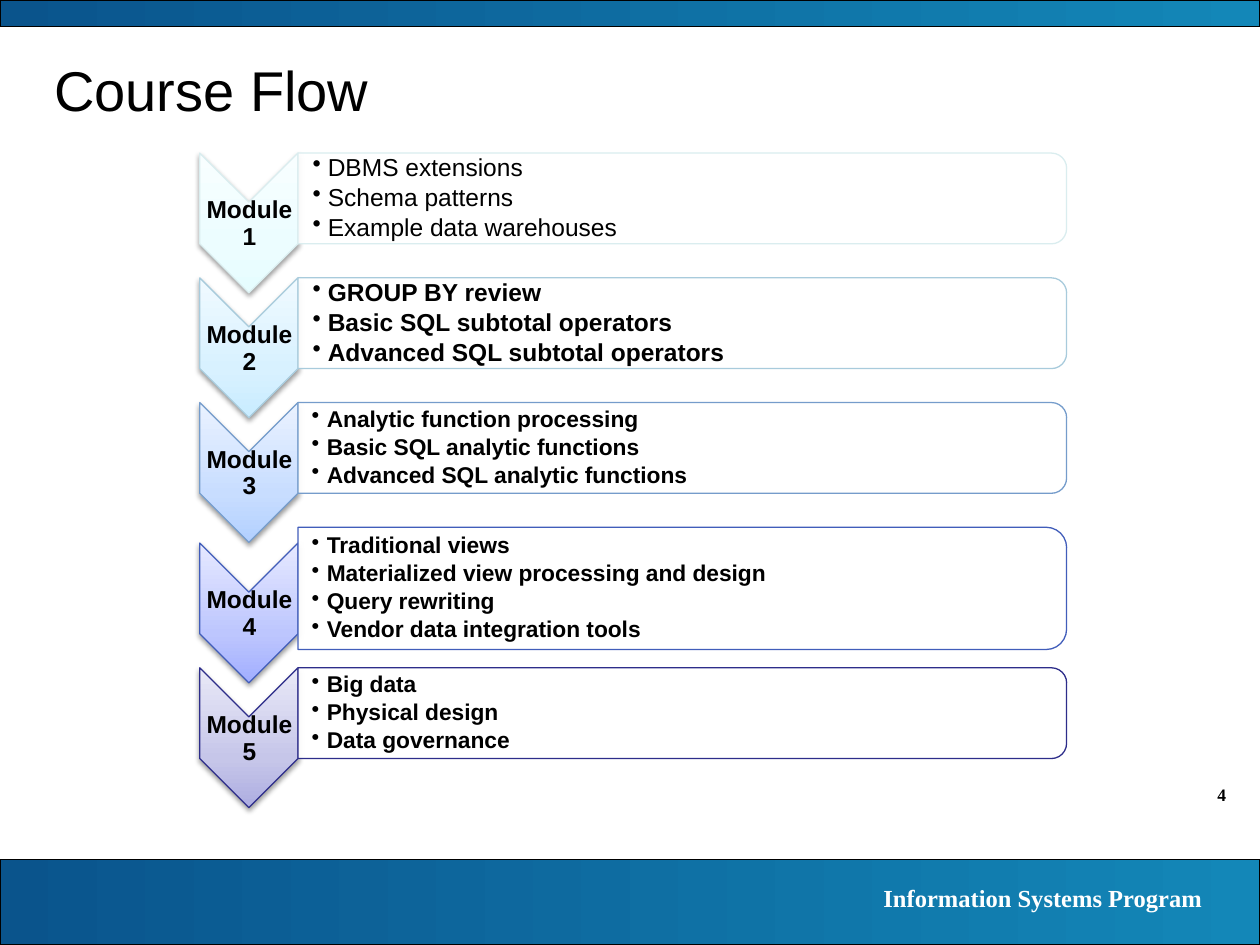
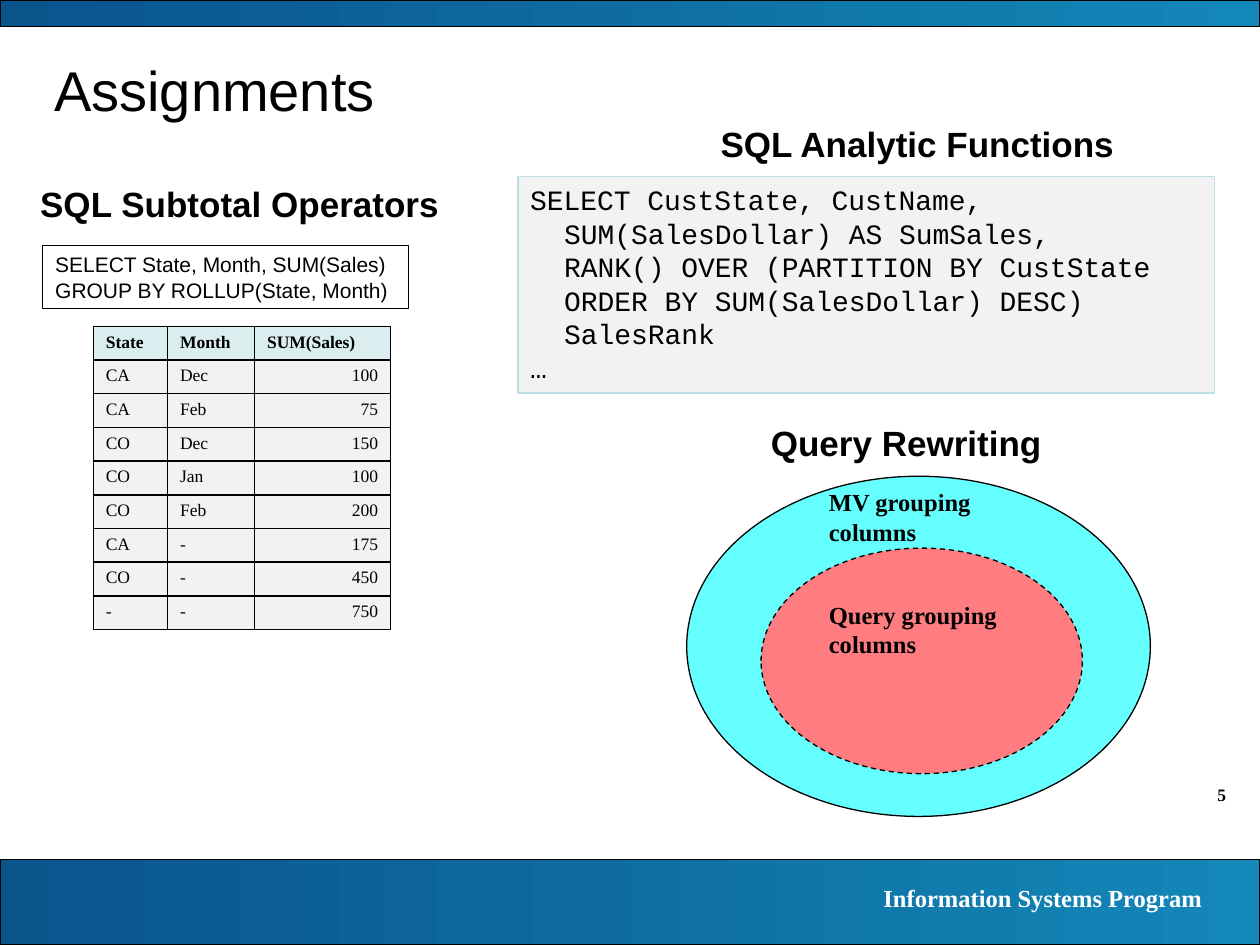
from lxml import etree
from pptx import Presentation, util as u
from pptx.dml.color import RGBColor
from pptx.enum import dml, shapes, text
from pptx.oxml.ns import qn

WIDTH, HEIGHT = u.Inches(10), u.Inches(7.5)
COLUMN, ROW = WIDTH / 100, HEIGHT / 75
SANS, SERIF, MONO = "Arial", "Times New Roman", "Courier New"
BLACK = RGBColor(0x00, 0x00, 0x00)
WHITE = RGBColor(0xFF, 0xFF, 0xFF)
PALE_GRAY = RGBColor(0xF2, 0xF2, 0xF2)
HEADER_TEAL = RGBColor(0xDA, 0xED, 0xEF)
CODE_EDGE = RGBColor(0xBB, 0xE0, 0xE3)
AQUA = RGBColor(0x66, 0xFF, 0xFF)
CORAL = RGBColor(0xFF, 0x7C, 0x80)
BAND_STOPS = [(0, RGBColor(0x0A, 0x54, 0x8C)), (100, RGBColor(0x13, 0x87, 0xB8))]
MODULE_EDGES = [
    RGBColor(0xDA, 0xED, 0xEF), RGBColor(0xA8, 0xCB, 0xDC), RGBColor(0x75, 0x9C, 0xCB),
    RGBColor(0x41, 0x5D, 0xBA), RGBColor(0x2D, 0x2D, 0x8A),
]
MODULE_SHADES = [
    (RGBColor(0xE6, 0xFD, 0xFF), RGBColor(0xEC, 0xFD, 0xFF), RGBColor(0xF8, 0xFE, 0xFF)),
    (RGBColor(0xC9, 0xEC, 0xFF), RGBColor(0xD8, 0xF1, 0xFF), RGBColor(0xF0, 0xFA, 0xFF)),
    (RGBColor(0xB2, 0xD0, 0xFF), RGBColor(0xC8, 0xDD, 0xFF), RGBColor(0xEA, 0xF2, 0xFF)),
    (RGBColor(0xA1, 0xAE, 0xFF), RGBColor(0xBD, 0xC6, 0xFE), RGBColor(0xE6, 0xE9, 0xFF)),
    (RGBColor(0xAD, 0xAD, 0xE1), RGBColor(0xC6, 0xC6, 0xE9), RGBColor(0xE9, 0xE9, 0xF7)),
]
MODULES = [
    (14, False, ["DBMS extensions", "Schema patterns", "Example data warehouses"]),
    (14, True, ["GROUP BY review", "Basic SQL subtotal operators",
                "Advanced SQL subtotal operators"]),
    (13, True, ["Analytic function processing", "Basic SQL analytic functions",
                "Advanced SQL analytic functions"]),
    (13, True, ["Traditional views", "Materialized view processing and design",
                "Query rewriting", "Vendor data integration tools"]),
    (13, True, ["Big data", "Physical design", "Data governance"]),
]
SALES = [
    ("State", "Month", "SUM(Sales)"),
    ("CA", "Dec", "100"), ("CA", "Feb", "75"), ("CO", "Dec", "150"),
    ("CO", "Jan", "100"), ("CO", "Feb", "200"), ("CA", "-", "175"),
    ("CO", "-", "450"), ("-", "-", "750"),
]
ROLLUP_QUERY = ["SELECT State, Month, SUM(Sales)", "GROUP BY ROLLUP(State, Month)"]
RANK_QUERY = ["SELECT CustState, CustName,", "SUM(SalesDollar) AS SumSales,",
              "RANK() OVER (PARTITION BY CustState", "ORDER BY SUM(SalesDollar) DESC)",
              "SalesRank", "…"]


def frame(left, top, width, height):
    """Turn grid columns and rows into slide lengths."""
    return [round(n * unit) for n, unit in
            zip((left, top, width, height), (COLUMN, ROW, COLUMN, ROW))]


def quarter_turn(left, top, width, height):
    """Give the unrotated area that covers this area after a quarter turn."""
    shift = (width - height) / 2
    return left + shift, top - shift, height, width


def child(parent, tag, **attributes):
    """Append a drawing element with the given attributes."""
    node = etree.SubElement(parent, qn(f"a:{tag}"))
    for name, value in attributes.items():
        node.set(name, str(value))
    return node


def fill_gradient(shape, stops, angle):
    """Fill a shape with colour stops along a fixed slide direction."""
    shape.fill.background()
    blank = shape.element.spPr.find(qn("a:noFill"))
    gradient = etree.Element(qn("a:gradFill"), rotWithShape="0")
    stop_list = child(gradient, "gsLst")
    for place, color in stops:
        child(child(stop_list, "gs", pos=place * 1000), "srgbClr", val=color)
    child(gradient, "lin", ang=angle * 60000, scaled=0)
    blank.getparent().replace(blank, gradient)


def add_figure(page, kind, area, fill, edge=BLACK, weight=0.75):
    """Add a flat, outlined preset shape."""
    shape = page.shapes.add_shape(kind, *frame(*area))
    shape.shadow.inherit = False
    shape.fill.solid()
    shape.fill.fore_color.rgb = fill
    shape.line.color.rgb = edge
    shape.line.width = u.Pt(weight)
    return shape


def style(para, font, size, bold=False, color=BLACK, align=text.PP_ALIGN.LEFT):
    """Set the font and alignment of a paragraph."""
    para.font.name, para.font.size, para.font.bold = font, u.Pt(size), bold
    para.font.color.rgb = color
    para.alignment = align


def write(shape, lines, font, size, anchor=text.MSO_ANCHOR.TOP, **look):
    """Write one paragraph per line and return the paragraphs."""
    body = shape.text_frame
    body.word_wrap = True
    body.vertical_anchor = anchor
    body.text = "\n".join(lines)
    for para in body.paragraphs:
        style(para, font, size, **look)
    return body.paragraphs


def add_label(page, area, lines, font, size, **look):
    """Add a text box and return it."""
    box = page.shapes.add_textbox(*frame(*area))
    write(box, lines, font, size, **look)
    return box


def tighten(box, left, after):
    """Give a diagram label small margins and close lines."""
    body = box.text_frame
    body.margin_left = u.Inches(left)
    body.margin_top = body.margin_right = body.margin_bottom = u.Inches(0.01)
    for para in body.paragraphs:
        para.line_spacing = 0.9
        para.space_after = u.Pt(after)


def indent(para, left, first=0):
    """Set the left and first-line indents in inches."""
    properties = para._p.get_or_add_pPr()
    properties.set("marL", str(u.Inches(left)))
    properties.set("indent", str(u.Inches(first)))
    return properties


def add_bullet(para):
    """Hang a paragraph on a round bullet."""
    properties = indent(para, 0.12, -0.12)
    bullet = etree.Element(qn("a:buChar"), char="•")
    properties.insert_element_before(bullet, "a:tabLst", "a:defRPr", "a:extLst")


def add_page(deck, title, number):
    """Add a titled slide with bands, footer and page number."""
    page = deck.slides.add_slide(deck.slide_layouts[5])
    for top, height in ((68.2, 6.8), (0, 2.1)):
        band = add_figure(page, shapes.MSO_SHAPE.RECTANGLE, (0, top, 100, height), WHITE)
        fill_gradient(band, BAND_STOPS, 0)
    right = text.PP_ALIGN.RIGHT
    add_label(page, (90, 61.7, 8.3, 2.7), [str(number)], SERIF, 10, bold=True, align=right)
    add_label(page, (55.5, 69.6, 40.9, 3.4), ["Information Systems Program"], SERIF, 14,
              bold=True, color=WHITE, align=right)
    heading = page.shapes.title
    heading.left, heading.top, heading.width, heading.height = frame(3.3, 3.3, 91.7, 7.5)
    write(heading, [title], SANS, 32, anchor=text.MSO_ANCHOR.MIDDLE)
    return page


def add_chevron(page, top, label, shades, edge):
    """Add a shaded down-pointing chevron with its module label."""
    chevron = add_figure(page, shapes.MSO_SHAPE.CHEVRON,
                         quarter_turn(15.85, top, 7.8, 11.1), WHITE, edge)
    chevron.rotation = 90
    fill_gradient(chevron, zip((0, 35, 100), shades), 270)
    effects = chevron.element.spPr.find(qn("a:effectLst"))
    shadow = child(effects, "outerShdw", blurRad=u.Pt(3.1), dist=u.Pt(1.6),
                   dir=90 * 60000, rotWithShape=0)
    child(child(shadow, "srgbClr", val=BLACK), "alpha", val=38000)
    box = add_label(page, (15.9, top + 4, 7.8, 3.3), [label], SANS, 14, bold=True,
                    align=text.PP_ALIGN.CENTER, anchor=text.MSO_ANCHOR.MIDDLE)
    tighten(box, 0.01, 4.9)


def add_topics(page, top, height, topics, size, bold, edge):
    """Add a panel with rounded right corners and its bulleted topics."""
    panel = add_figure(page, shapes.MSO_SHAPE.ROUND_2_SAME_RECTANGLE,
                       quarter_turn(23.65, top, 61, height), WHITE, edge)
    panel.rotation = 90
    child(panel.element.spPr.find(f"{qn('a:solidFill')}/{qn('a:srgbClr')}"),
          "alpha", val=90000)
    box = add_label(page, (23.7, top + 0.35, 60.6, height - 0.7), topics, SANS, size,
                    bold=bold, anchor=text.MSO_ANCHOR.MIDDLE)
    tighten(box, size * 0.008, size * 0.15)
    for para in box.text_frame.paragraphs:
        add_bullet(para)


def add_border(cell):
    """Draw a thin black line on all four sides of a cell."""
    properties = cell._tc.get_or_add_tcPr()
    for place, side in enumerate(("lnL", "lnR", "lnT", "lnB")):
        line = etree.Element(qn(f"a:{side}"), w=str(u.Pt(1)))
        child(child(line, "solidFill"), "srgbClr", val=BLACK)
        properties.insert(place, line)


def add_sales_table(page):
    """Add the subtotal result with right-aligned sums."""
    widths = (5.9, 6.9, 10.8)
    table = page.shapes.add_table(len(SALES), len(widths),
                                  *frame(7.4, 25.9, sum(widths), 24)).table
    for column, width in zip(table.columns, widths):
        column.width = round(width * COLUMN)
    for r, record in enumerate(SALES):
        table.rows[r].height = round(24 * ROW / len(SALES))
        for c, value in enumerate(record):
            cell = table.cell(r, c)
            cell.text = value
            is_sum = r > 0 and c == 2
            style(cell.text_frame.paragraphs[0], SERIF, 10, bold=r == 0,
                  align=text.PP_ALIGN.RIGHT if is_sum else text.PP_ALIGN.LEFT)
            cell.fill.solid()
            cell.fill.fore_color.rgb = PALE_GRAY if r else HEADER_TEAL
            add_border(cell)


def build_course_flow(deck):
    """Build the slide with five modules."""
    page = add_page(deck, "Course Flow", 4)
    pitch, base_height, tall_height = 9.9, 7.2, 9.7
    top = 12.15 - pitch
    for number, (module, shades, edge) in enumerate(
            zip(MODULES, MODULE_SHADES, MODULE_EDGES), 1):
        size, bold, topics = module
        height = tall_height if len(topics) > 3 else base_height
        extra = (height - base_height) / 2
        top += pitch + extra
        add_chevron(page, top, f"Module {number}", shades, edge)
        add_topics(page, top - extra, height, topics, size, bold, edge)


def build_assignments(deck):
    """Build the slide with three assignment examples."""
    page = add_page(deck, "Assignments", 5)
    rectangle, oval = shapes.MSO_SHAPE.RECTANGLE, shapes.MSO_SHAPE.OVAL
    rollup = add_figure(page, rectangle, (3.4, 19.5, 29, 5), WHITE)
    write(rollup, ROLLUP_QUERY, SANS, 12, anchor=text.MSO_ANCHOR.MIDDLE)
    add_sales_table(page)
    ranking = add_figure(page, rectangle, (41.1, 14, 55.3, 17.2), PALE_GRAY, CODE_EDGE, 1)
    for para in write(ranking, RANK_QUERY, MONO, 16)[1:-1]:
        indent(para, 0.27)
    add_figure(page, oval, (54.5, 37.8, 36.8, 27), AQUA)
    query = add_figure(page, oval, (60.4, 43.5, 25.5, 17.9), CORAL)
    query.line.dash_style = dml.MSO_LINE.DASH
    for top, width, label in ((47.1, 21.1, "Query grouping columns"),
                              (38.2, 19.1, "MV grouping columns")):
        add_label(page, (64.8, top, width, 5.7), [label], SERIF, 14, bold=True)
    for left, top, width, label in ((2.2, 14, 33.9, "SQL Subtotal Operators"),
                                    (56.2, 9.2, 33.9, "SQL Analytic Functions"),
                                    (60.2, 33, 23.7, "Query Rewriting")):
        add_label(page, (left, top, width, 4.4), [label], SANS, 20, bold=True)


def main():
    """Build and save the deck."""
    deck = Presentation()
    deck.slide_width, deck.slide_height = WIDTH, HEIGHT
    build_course_flow(deck)
    build_assignments(deck)
    deck.save("out.pptx")


if __name__ == "__main__":
    main()
